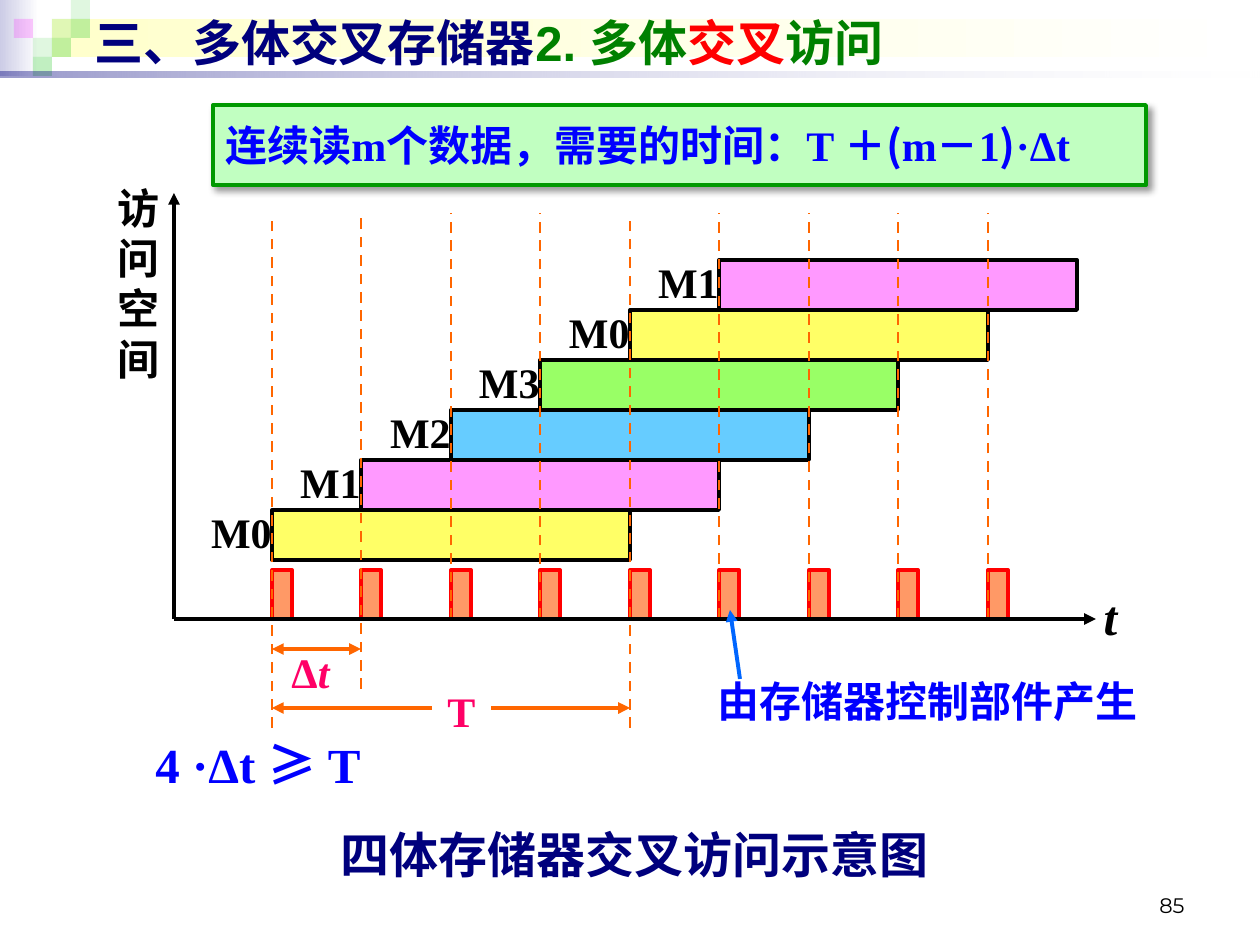
from dataclasses import dataclass

from lxml.etree import SubElement
from pptx import Presentation
from pptx.dml.color import RGBColor
from pptx.enum.dml import MSO_LINE
from pptx.enum.shapes import MSO_CONNECTOR, MSO_SHAPE
from pptx.enum.text import MSO_ANCHOR, PP_ALIGN
from pptx.oxml.ns import qn
from pptx.util import Pt

SCALE = 914400 / 126  # EMU in one px


@dataclass(frozen=True)
class Theme:
    black: str = "000000"
    white: str = "FFFFFF"
    navy: str = "00007D"
    green: str = "008000"
    red: str = "FF0000"
    blue: str = "0000FF"
    pink: str = "FF0066"
    orange: str = "FF6600"
    sky: str = "0066FF"
    pulse: str = "FF9966"
    leaf: str = "33CC33"
    mint: str = "C1FFC1"
    frame: str = "009900"
    banks: tuple = ("FFFF66", "FF99FF", "66CCFF", "99FF66")
    serif: str = "Times New Roman"
    sans: str = "Arial"
    han: str = "Noto Sans CJK SC"
    page: str = "Montserrat"
    big: int = 28
    mid: int = 24
    small: int = 12
    thick: float = 2.25
    thin: float = 1.5


T = Theme()
AXIS_X, AXIS_Y = 174, 619
BAR_W, BAR_H = 358, 50


def px(n):
    return round(n * SCALE)


def rgb(code):
    return RGBColor.from_string(code)


def col(i):
    """Left edge of time slot i."""
    return round(272 + 89.45 * i)


def row(i):
    """Top edge of access i, counted upwards."""
    return 510 - BAR_H * i


def fade(node, pct):
    SubElement(node, qn("a:alpha"), val=str(pct * 1000))


def rect(slide, x, y, w, h, fill, edge=None, alpha=None):
    box = slide.shapes.add_shape(MSO_SHAPE.RECTANGLE, px(x), px(y), px(w), px(h))
    box.shadow.inherit = False
    box.fill.solid()
    box.fill.fore_color.rgb = rgb(fill)
    if alpha:
        fade(box._element.spPr.find(".//" + qn("a:srgbClr")), alpha)
    if edge:
        box.line.color.rgb = rgb(edge)
        box.line.width = Pt(T.thick)
    else:
        box.line.fill.background()
    return box


def blend(slide, x, y, w, h, start, alphas=()):
    """Rectangle that runs from a colour to white, left to right."""
    box = rect(slide, x, y, w, h, T.white)
    box.fill.gradient()
    box.fill.gradient_angle = 0
    for stop, pos, code in zip(box.fill.gradient_stops, (0, 1), (start, T.white)):
        stop.position = pos
        stop.color.rgb = rgb(code)
    for node, pct in zip(box._element.spPr.iter(qn("a:srgbClr")), alphas):
        fade(node, pct)


def line(slide, x1, y1, x2, y2, color, width=T.thick, dash=False, head=False, tail=False):
    wire = slide.shapes.add_connector(MSO_CONNECTOR.STRAIGHT, px(x1), px(y1), px(x2), px(y2))
    wire.line.color.rgb = rgb(color)
    wire.line.width = Pt(width)
    if dash:
        wire.line.dash_style = MSO_LINE.DASH
    props = wire._element.spPr
    for tag, used in (("a:headEnd", head), ("a:tailEnd", tail)):
        if used:
            SubElement(props.find(qn("a:ln")), qn(tag), type="triangle")
    SubElement(props, qn("a:effectLst"))


def write(frame, runs, size, align=PP_ALIGN.CENTER, bold=True):
    """Fill a frame with runs of (text, colour, font, italic)."""
    para = frame.paragraphs[0]
    para.alignment = align
    for words, color, face, slant in runs:
        run = para.add_run()
        run.text = words
        font = run.font
        font.size, font.bold, font.italic = Pt(size), bold, slant
        font.color.rgb = rgb(color)
        font.name = face
        SubElement(run._r.get_or_add_rPr(), qn("a:ea"), typeface=T.han)


def part(words, color=T.black, face=T.serif, slant=False):
    return words, color, face, slant


def text(slide, x, y, w, h, runs, size=T.mid, align=PP_ALIGN.CENTER,
         anchor=MSO_ANCHOR.TOP, bold=True):
    frame = slide.shapes.add_textbox(px(x), px(y), px(w), px(h)).text_frame
    frame.word_wrap = True
    frame.vertical_anchor = anchor
    write(frame, runs, size, align, bold)


def header(slide):
    # Bands and corner tiles
    blend(slide, 0, 0, 39, 76, "CCCCE6")
    blend(slide, 52, 19, 1203, 38, "FFFFCC")
    tiles = [(52, 19, 15), (71, 0, 15), (71, 19, 30), (33, 38, 15), (52, 38, 30), (33, 57, 30)]
    for x, y, alpha in tiles:
        rect(slide, x, y, 19, 19, T.leaf, alpha=alpha)
    rect(slide, 14, 19, 19, 19, "FF00FF", alpha=20)
    blend(slide, 0, 72, 1260, 6, T.navy, (40, 10))
    # Title
    runs = [part("三、多体交叉存储器\t", T.navy, T.sans), part("2. 多体", T.green, T.sans),
            part("交叉", T.red, T.sans), part("访问", T.green, T.sans)]
    text(slide, 82, 6, 1134, 72, runs, T.big, PP_ALIGN.LEFT, MSO_ANCHOR.MIDDLE)


def banner(slide):
    box = rect(slide, 213, 105, 933, 80, T.mint, T.frame)
    glow = SubElement(box._element.spPr.find(qn("a:effectLst")), qn("a:outerShdw"),
                      blurRad=str(Pt(4)), dist=str(Pt(3)), dir="2700000", algn="tl")
    fade(SubElement(glow, qn("a:srgbClr"), val=T.black), 40)
    frame = box.text_frame
    frame.word_wrap = False
    frame.vertical_anchor = MSO_ANCHOR.MIDDLE
    pieces = [("连续读m个数据，需要的时间：T ＋", T.serif), ("(", T.han), ("m－1", T.serif),
              (")", T.han), ("·Δt", T.serif)]
    write(frame, [part(words, T.blue, face) for words, face in pieces], T.mid, PP_ALIGN.LEFT)


def chart(slide):
    # Access bars, one bank per slot
    for i in range(6):
        rect(slide, col(i), row(i), BAR_W, BAR_H, T.banks[i % 4], T.black)
    # Control pulses and slot lines
    for i in range(9):
        rect(slide, col(i), 570, 20, 49, T.pulse, T.red)
    ends = {0: 728, 1: 689, 4: 728}
    for i in range(9):
        line(slide, col(i), ends.get(i, AXIS_Y), col(i), 213, T.orange, T.thin, dash=True)
    # Bank labels
    for i in range(6):
        text(slide, col(i) - 98, row(i) - 10, 110, 63, [part(f"M{i % 4}")], align=PP_ALIGN.RIGHT)
    # Axes
    line(slide, AXIS_X, AXIS_Y, AXIS_X, 193, T.black, tail=True)
    line(slide, AXIS_X, AXIS_Y, 1096, AXIS_Y, T.black, tail=True)
    text(slide, 94, 176, 89, 214, [part("访问空间")])
    text(slide, 1086, 580, 49, 72, [part("t", slant=True)], T.big)


def spans(slide):
    # Slot time and cycle time
    line(slide, col(0), 649, col(1), 649, T.orange, head=True, tail=True)
    text(slide, 266, 640, 89, 63, [part("Δ", T.pink), part("t", T.pink, slant=True)])
    line(slide, col(0), 708, 432, 708, T.orange, head=True)
    line(slide, col(4), 708, 491, 708, T.orange, head=True)
    text(slide, 432, 679, 59, 63, [part("T", T.pink)])


def notes(slide):
    # Condition, source of the pulses, caption, page number
    runs = [part("4 ·Δt ", T.blue), part("≥", T.blue, T.han), part(" T", T.blue)]
    text(slide, 94, 728, 328, 72, runs, T.big)
    text(slide, 669, 669, 517, 63, [part("由存储器控制部件产生", T.blue)])
    line(slide, 740, 679, 730, 610, T.sky, tail=True)
    text(slide, 94, 818, 1081, 72, [part("四体存储器交叉访问示意图", T.navy)], T.big)
    text(slide, 903, 861, 294, 63, [part("85", face=T.page)], T.small,
         PP_ALIGN.RIGHT, MSO_ANCHOR.BOTTOM, False)


def main():
    deck = Presentation()
    deck.slide_width, deck.slide_height = px(1260), px(945)
    slide = deck.slides.add_slide(deck.slide_layouts[6])
    for draw in (header, chart, spans, notes, banner):
        draw(slide)
    deck.save("out.pptx")


if __name__ == "__main__":
    main()
